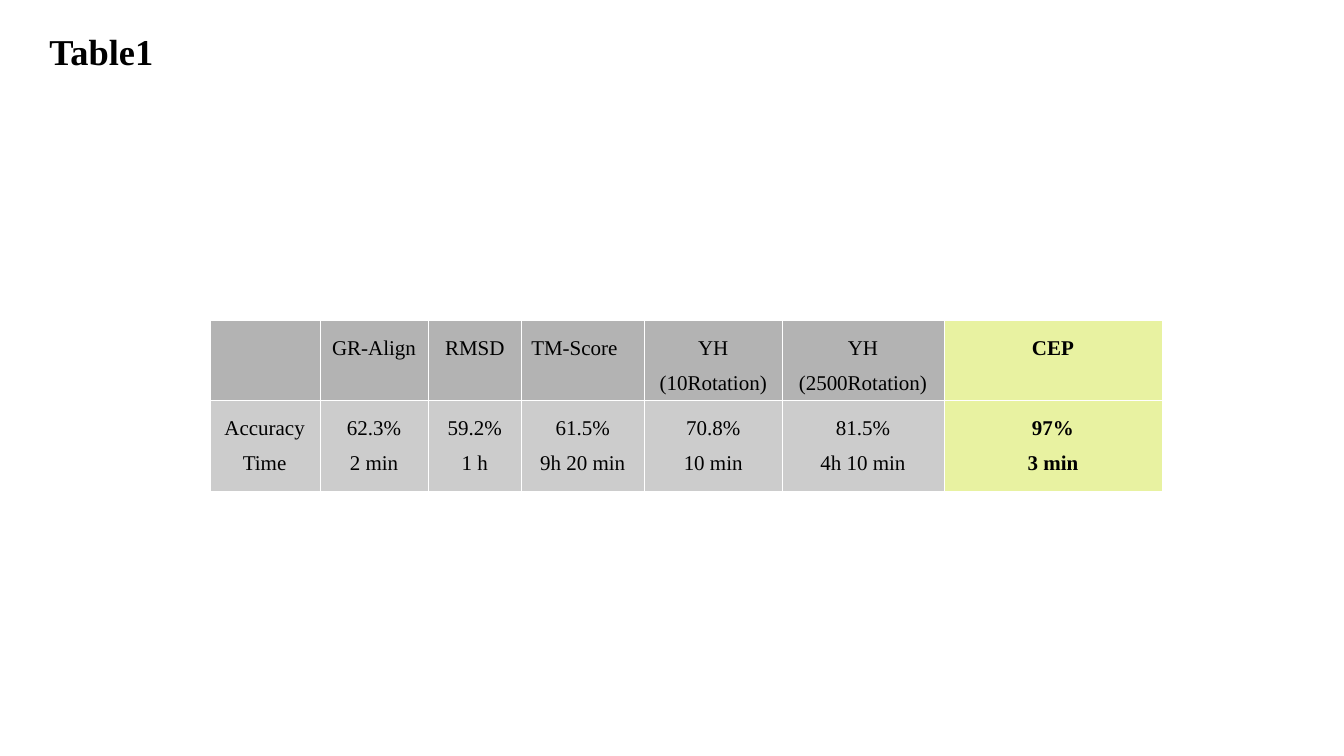
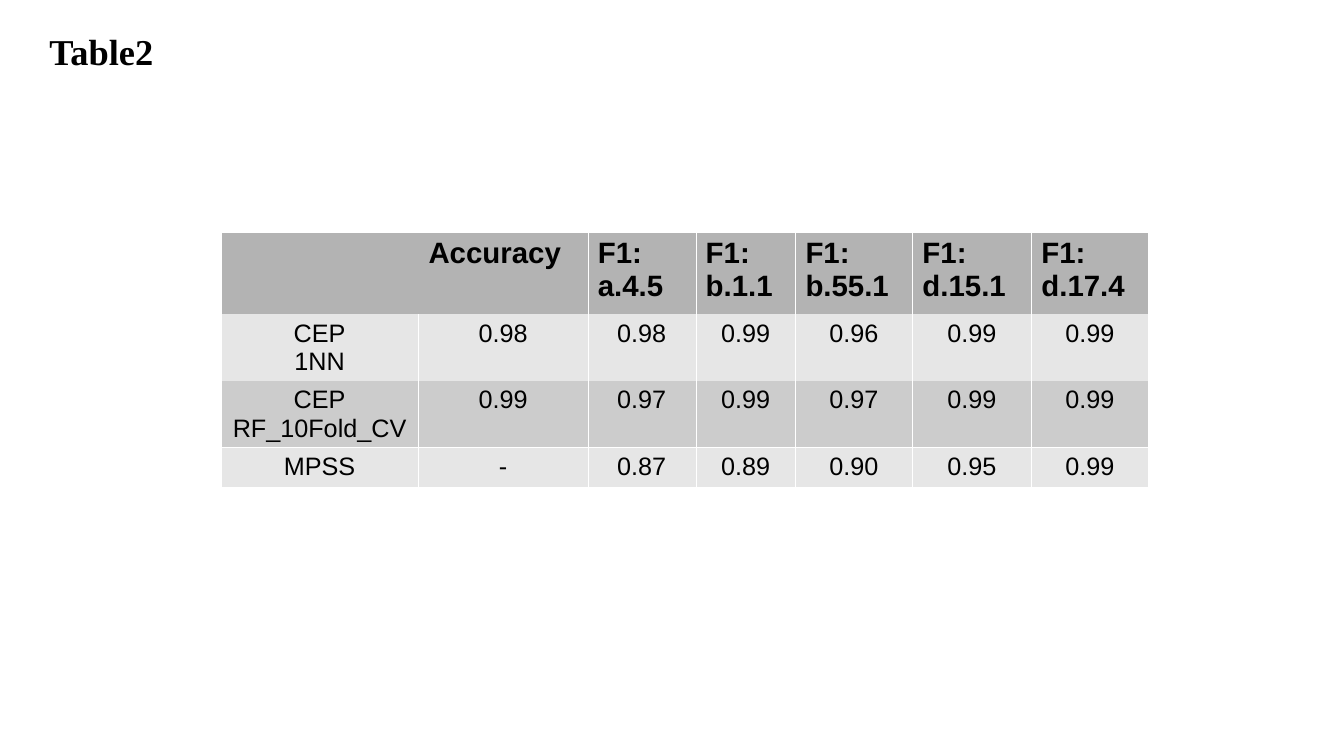
"""Build two slides, each with a title and a table of results."""
from pptx import Presentation
from pptx.dml.color import RGBColor
from pptx.enum.text import MSO_ANCHOR as Anchor, MSO_AUTO_SIZE as Auto, PP_ALIGN as Align
from pptx.oxml.ns import qn
from pptx.util import Inches, Pt
from lxml.etree import SubElement

BLACK, WHITE = "000000", "FFFFFF"
DARK, MID, PALE, LIME = "B3B3B3", "CCCCCC", "E6E6E6", "E8F2A1"
SERIF, SANS = "Times New Roman", "Arial"

SCORES = {
    "title": "Table1",
    "at": (2.08, 3.18),
    "cols": [1.09, 1.08, 0.92, 1.22, 1.37, 1.6, 2.17],
    "rows": [0.38, 0.9],
    "cells": [
        ["", "GR-Align", "RMSD", "TM-Score", "YH (10Rotation)", "YH (2500Rotation)", "CEP"],
        ["Accuracy\nTime", "62.3%\n2 min", "59.2%\n1 h", "61.5%\n9h 20 min",
         "70.8%\n10 min", "81.5%\n4h 10 min", "97%\n3 min"],
    ],
}
FOLDS = {
    "title": "Table2",
    "at": (2.19, 2.3),
    "cols": [1.96, 1.68, 1.07, 0.99, 1.16, 1.18, 1.16],
    "rows": [0.82, 0.66, 0.66, 0.39],
    "cells": [
        ["", "Accuracy", "F1: a.4.5", "F1: b.1.1", "F1: b.55.1", "F1: d.15.1", "F1: d.17.4"],
        ["CEP\n1NN", "0.98", "0.98", "0.99", "0.96", "0.99", "0.99"],
        ["CEP\nRF_10Fold_CV", "0.99", "0.97", "0.99", "0.97", "0.99", "0.99"],
        ["MPSS", "-", "0.87", "0.89", "0.90", "0.95", "0.99"],
    ],
}


def paint(fill, color):
    fill.solid()
    fill.fore_color.rgb = RGBColor.from_string(color)


def style(par, face, size, bold, align=Align.LEFT, space=None):
    par.alignment = align
    if space:
        par.line_spacing = space
    for run in par.runs:
        font = run.font
        font.name, font.size, font.bold = face, Pt(size), bold
        font.color.rgb = RGBColor.from_string(BLACK)


def edge(cell, sides):
    props = cell._tc.get_or_add_tcPr()
    for side in "LRTB":
        line = SubElement(props, qn(f"a:ln{side}"), w=str(Pt(0.06)))
        if side in sides:
            fill = SubElement(line, qn("a:solidFill"))
            SubElement(fill, qn("a:srgbClr"), val=WHITE)
        else:
            SubElement(line, qn("a:noFill"))


def score_look(row, col):
    best = col == len(SCORES["cols"]) - 1
    align = Align.LEFT if (row, col) == (0, 3) else Align.CENTER
    color = LIME if best else (DARK, MID)[row]
    return color, "LRTB", (SERIF, 15, best, align, 1.5)


def fold_look(row, col):
    color = (DARK, PALE, MID, PALE)[row]
    if row == 0:
        return color, {0: "LT", 1: "RT"}.get(col, "LRT"), (SANS, 21, True)
    sides = ("LR", "LRB", "LRTB")[row - 1]
    return color, sides, (SANS, 18, False, Align.CENTER)


def add_head(slide, text):
    head = slide.shapes.title
    head.left, head.top = Inches(0.39), Inches(0.24)
    head.width, head.height = Inches(2.03), Inches(0.49)
    frame = head.text_frame
    frame.text = text
    frame.auto_size, frame.vertical_anchor = Auto.NONE, Anchor.TOP
    style(frame.paragraphs[0], SERIF, 26, True)


def add_grid(slide, data, look):
    cols, rows = data["cols"], data["rows"]
    spots = [*data["at"], sum(cols), sum(rows)]
    grid = slide.shapes.add_table(len(rows), len(cols), *map(Inches, spots)).table
    grid.first_row = grid.horz_banding = False
    for col, width in zip(grid.columns, cols):
        col.width = Inches(width)
    for row, height in zip(grid.rows, rows):
        row.height = Inches(height)
    for r, line in enumerate(data["cells"]):
        for c, text in enumerate(line):
            cell = grid.cell(r, c)
            color, sides, form = look(r, c)
            cell.text_frame.text = text
            edge(cell, sides)
            paint(cell.fill, color)
            for par in cell.text_frame.paragraphs:
                style(par, *form)


def main():
    deck = Presentation()
    deck.slide_width, deck.slide_height = Inches(13.33), Inches(7.5)
    paint(deck.slide_master.background.fill, WHITE)
    for data, look in ((SCORES, score_look), (FOLDS, fold_look)):
        slide = deck.slides.add_slide(deck.slide_layouts[5])
        add_head(slide, data["title"])
        add_grid(slide, data, look)
    deck.save("out.pptx")


if __name__ == "__main__":
    main()
